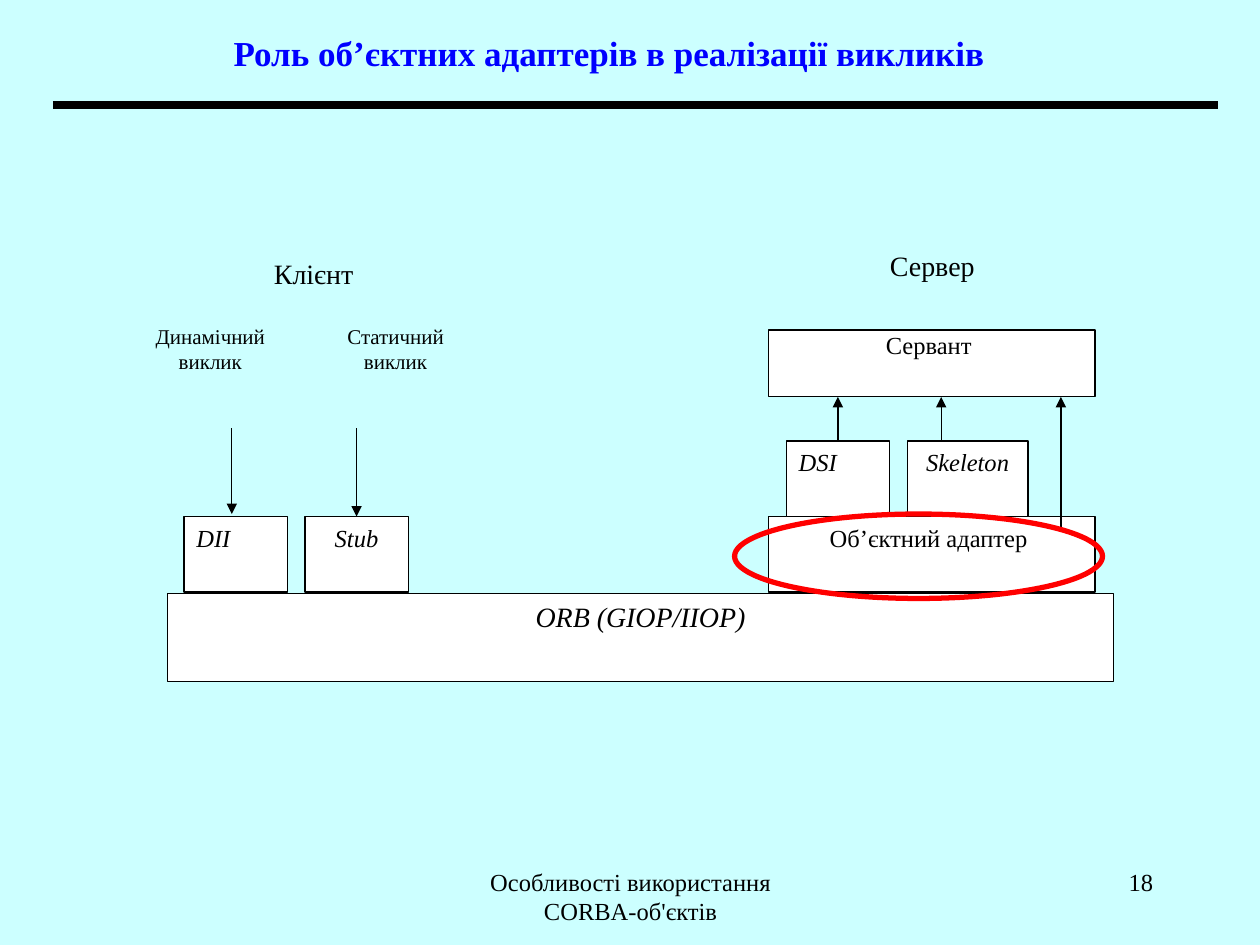
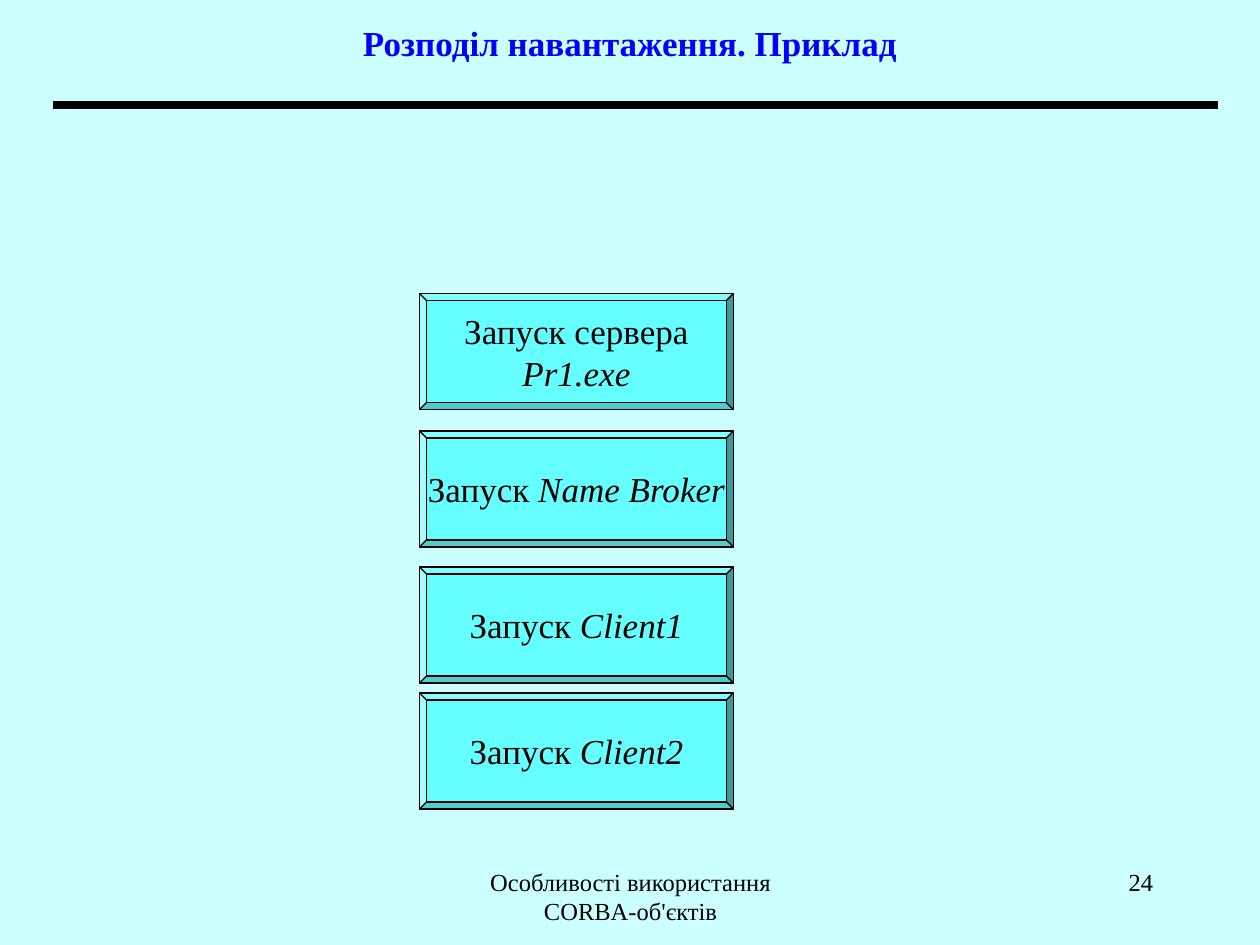
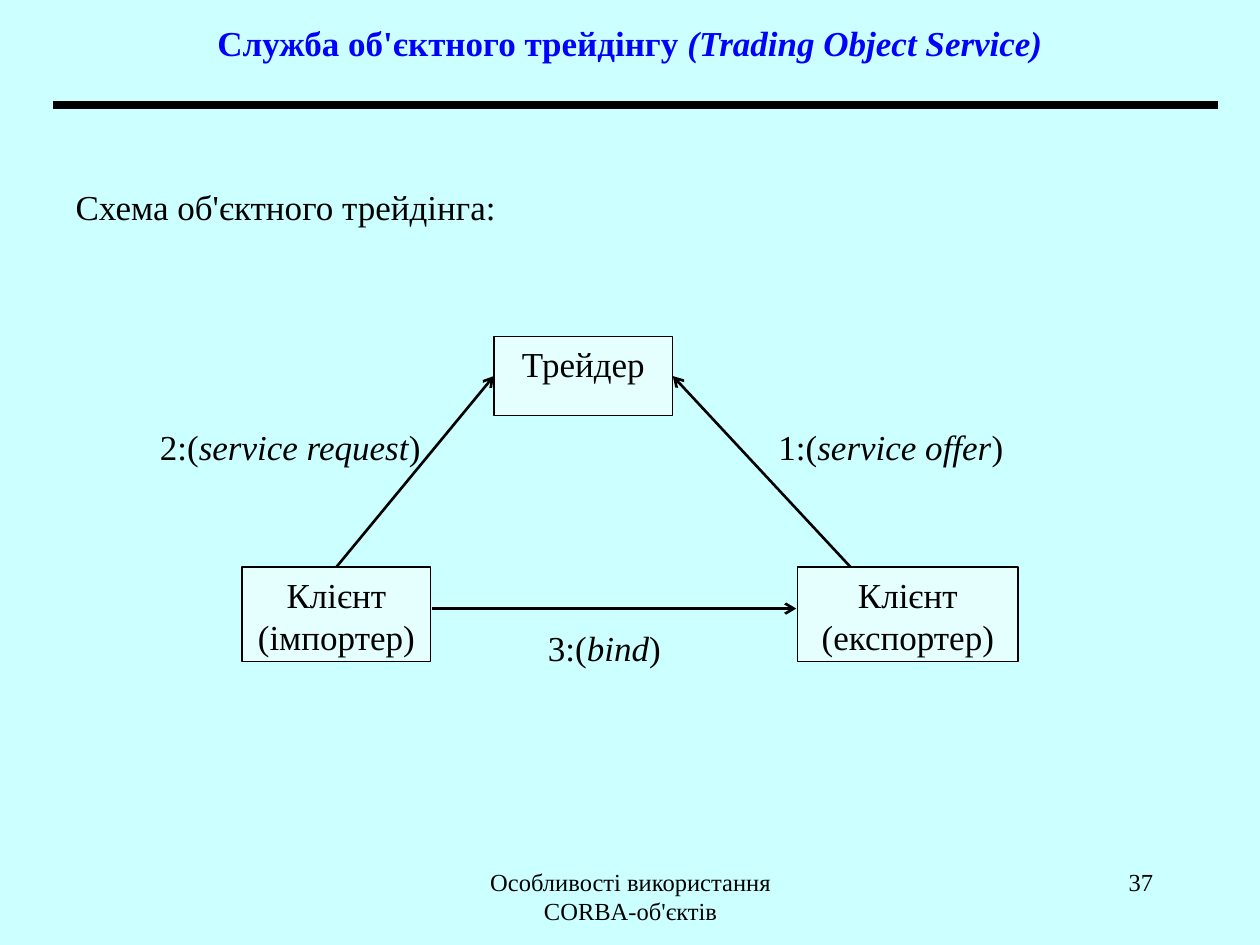
from dataclasses import dataclass
from typing import Optional

from lxml.etree import SubElement
from pptx import Presentation
from pptx.dml.color import RGBColor
from pptx.enum.shapes import MSO_CONNECTOR, MSO_SHAPE
from pptx.enum.text import MSO_ANCHOR as ANCHOR, MSO_AUTO_SIZE as AUTO_SIZE, PP_ALIGN as ALIGN
from pptx.oxml.ns import qn
from pptx.util import Inches, Pt

COLORS = {
    "background": "CCFFFF",
    "title": "0000FF",
    "ink": "000000",
    "box": "FFFFFF",
    "button": "66FFFF",
    "highlight": "FF0000",
}
FONT = "Times New Roman"
FOOTER = "Особливості використання CORBA-об'єктів"
TITLE_AREA = (0.75, 0, 8.5, 0.67)
PADDED = (0.1, 0.05, 0.1, 0.05)
TOP_ONLY = (0, 0.05, 0, 0)
TITLE_ONLY, TITLE_AND_BODY = 5, 1
TOP, LEFT, RIGHT = 0, 1, 3


@dataclass
class Block:
    """Text at (left, top, width, height); *asterisks* mark italics."""
    text: str
    area: tuple
    size: int = 20
    align: ALIGN = ALIGN.CENTER
    insets: tuple = PADDED
    anchor: ANCHOR = ANCHOR.TOP
    wrap: bool = True
    color: str = "ink"
    bold: bool = False
    shape: Optional[MSO_SHAPE] = None
    fill: str = "box"
    opacity: int = 100


@dataclass
class Arrow:
    """Ends are points; a joint is (block text, connection site)."""
    start: tuple
    end: tuple
    begin_joint: Optional[tuple] = None
    end_joint: Optional[tuple] = None


def rgb(name: str) -> RGBColor:
    return RGBColor.from_string(COLORS[name])


def inches(values: tuple) -> list:
    return [Inches(value) for value in values]


def write(frame, block: Block) -> None:
    left, top, right, bottom = inches(block.insets)
    layout = {
        "margin_left": left, "margin_top": top,
        "margin_right": right, "margin_bottom": bottom,
        "vertical_anchor": block.anchor, "word_wrap": block.wrap,
        "auto_size": AUTO_SIZE.NONE,
    }
    for name, value in layout.items():
        setattr(frame, name, value)
    for index, line in enumerate(block.text.split("\n")):
        paragraph = frame.add_paragraph() if index else frame.paragraphs[0]
        paragraph.alignment = block.align
        paragraph.space_before = Pt(0)
        for part, words in enumerate(line.split("*")):
            if not words:
                continue
            run = paragraph.add_run()
            run.text = words
            run.font.color.rgb = rgb(block.color)
            style = {"name": FONT, "size": Pt(block.size),
                     "bold": block.bold, "italic": part % 2 == 1}
            for name, value in style.items():
                setattr(run.font, name, value)


def draw_block(slide, block: Block):
    if block.shape is None:
        drawn = slide.shapes.add_textbox(*inches(block.area))
    else:
        drawn = slide.shapes.add_shape(block.shape, *inches(block.area))
        drawn.shadow.inherit = False
        drawn.fill.solid()
        drawn.fill.fore_color.rgb = rgb(block.fill)
        if block.opacity < 100:
            color = drawn.element.spPr.find(f"{qn('a:solidFill')}/{qn('a:srgbClr')}")
            SubElement(color, qn("a:alpha"), val=str(block.opacity * 1000))
        drawn.line.color.rgb = rgb("ink")
        drawn.line.width = Pt(0.75)
    write(drawn.text_frame, block)
    return drawn


def draw_line(slide, start: tuple, end: tuple, width: float, head: Optional[str] = None):
    line = slide.shapes.add_connector(MSO_CONNECTOR.STRAIGHT, *inches(start + end))
    line.line.color.rgb = rgb("ink")
    line.line.width = Pt(width)
    properties = line.element.spPr
    if head:
        SubElement(properties.find(qn("a:ln")), qn("a:tailEnd"), type=head)
    SubElement(properties, qn("a:effectLst"))
    return line


def draw_diagram(slide, blocks: list, arrows: list, width: float, head: str) -> None:
    drawn = {block.text: draw_block(slide, block) for block in blocks}
    for arrow in arrows:
        line = draw_line(slide, arrow.start, arrow.end, width, head)
        if arrow.begin_joint:
            name, site = arrow.begin_joint
            line.begin_connect(drawn[name], site)
        if arrow.end_joint:
            name, site = arrow.end_joint
            line.end_connect(drawn[name], site)


def fill_placeholder(placeholder, block: Block) -> None:
    places = zip(("left", "top", "width", "height"), inches(block.area))
    for name, value in places:
        setattr(placeholder, name, value)
    write(placeholder.text_frame, block)


def new_slide(prs, title: str, number: int, layout: int = TITLE_ONLY, area: tuple = TITLE_AREA):
    """Add a slide with its title, rule, footer and number."""
    slide = prs.slides.add_slide(prs.slide_layouts[layout])
    fill_placeholder(slide.shapes.title, Block(
        title, area, anchor=ANCHOR.MIDDLE, color="title", bold=True))
    draw_line(slide, (0.42, 0.83), (9.67, 0.83), 4.5)
    draw_block(slide, Block(FOOTER, (3.42, 6.83, 3.17, 0.5), 14))
    draw_block(slide, Block(str(number), (7.17, 6.83, 2.08, 0.5), 14, ALIGN.RIGHT))
    return slide


def add_adapters_slide(prs) -> None:
    slide = new_slide(prs, "Роль об’єктних адаптерів в реалізації викликів", 18,
                      area=(0.42, 0, 8.83, 0.83))
    rect = MSO_SHAPE.RECTANGLE
    blocks = [
        Block("Клієнт", (1.74, 1.99, 1.5, 0.88), 16),
        Block("Сервер", (6.65, 1.92, 1.5, 0.53), 16),
        Block("Динамічний виклик", (0.92, 2.52, 1.5, 0.88), 12),
        Block("Статичний виклик", (2.39, 2.52, 1.5, 0.88), 12),
        Block("*ORB (GIOP/IIOP)*", (1.33, 4.71, 7.51, 0.7), 16, shape=rect),
        Block("*DII*", (1.46, 4.1, 0.82, 0.6), 14, ALIGN.LEFT, shape=rect),
        Block("*Stub*", (2.42, 4.1, 0.82, 0.6), 14, insets=TOP_ONLY, shape=rect),
        Block("Об’єктний адаптер ", (6.1, 4.1, 2.59, 0.6), 14, insets=TOP_ONLY, shape=rect),
        Block("*DSI*", (6.24, 3.5, 0.82, 0.6), 14, ALIGN.LEFT, shape=rect),
        Block("*Skeleton*", (7.2, 3.5, 0.96, 0.6), 14, insets=TOP_ONLY, shape=rect),
        Block("Сервант ", (6.1, 2.62, 2.59, 0.53), 14, insets=(0, 0, 0, 0), shape=rect),
    ]
    arrows = [
        Arrow((1.84, 3.4), (1.84, 4.08)),
        Arrow((2.83, 3.4), (2.83, 4.1), end_joint=("*Stub*", TOP)),
        Arrow((6.65, 3.5), (6.65, 3.15), begin_joint=("*DSI*", TOP)),
        Arrow((7.47, 3.5), (7.47, 3.15)),
        Arrow((8.42, 4.18), (8.42, 3.15)),
    ]
    draw_diagram(slide, blocks, arrows, 0.75, "triangle")
    highlight = slide.shapes.add_shape(MSO_SHAPE.OVAL, *inches((5.83, 4.08, 2.92, 0.67)))
    highlight.shadow.inherit = False
    highlight.fill.background()
    highlight.line.color.rgb = rgb("highlight")
    highlight.line.width = Pt(3)


def add_load_slide(prs) -> None:
    slide = new_slide(prs, "Розподіл навантаження. Приклад", 24)
    launches = [
        ("Запуск сервера\n*Pr1.exe*", 2.33),
        ("Запуск *Name Broker*", 3.42),
        ("Запуск *Client1*", 4.5),
        ("Запуск *Client2*", 5.5),
    ]
    for text, top in launches:
        button = draw_block(slide, Block(
            text, (3.33, top, 2.49, 0.92), anchor=ANCHOR.MIDDLE, wrap=False,
            shape=MSO_SHAPE.BEVEL, fill="button"))
        button.adjustments[0] = 0.06


def add_trading_slide(prs) -> None:
    slide = new_slide(prs, "Служба об'єктного трейдінгу* (Trading Object Service)*", 37,
                      TITLE_AND_BODY)
    body = slide.placeholders[1]
    properties = body.text_frame.paragraphs[0]._p.get_or_add_pPr()
    for name in ("marL", "indent"):
        properties.set(name, "0")
    SubElement(properties, qn("a:buNone"))
    fill_placeholder(body, Block(
        "Схема об'єктного трейдінга:", (0.5, 1.42, 9.25, 1), align=ALIGN.JUSTIFY))

    trader, importer, exporter = "Трейдер", "Клієнт (імпортер)", "Клієнт (експортер)"
    parties = [
        (trader, (3.92, 2.67, 1.42, 0.63)),
        (importer, (1.92, 4.5, 1.5, 0.75)),
        (exporter, (6.33, 4.5, 1.75, 0.75)),
    ]
    steps = [
        ("1:(*service offer*)", (6.08, 3.33, 2, 0.44)),
        ("2:(*service request*)", (1.17, 3.33, 2.42, 0.44)),
        ("3:(*bind*)", (4.25, 4.92, 1.25, 0.44)),
    ]
    blocks = [Block(text, area, shape=MSO_SHAPE.RECTANGLE, opacity=50) for text, area in parties]
    blocks += [Block(text, area, align=ALIGN.LEFT) for text, area in steps]
    arrows = [
        Arrow((2.67, 4.5), (3.92, 3), (importer, TOP), (trader, LEFT)),
        Arrow((6.75, 4.5), (5.34, 3), end_joint=(trader, RIGHT)),
        Arrow((3.43, 4.83), (6.32, 4.83)),
    ]
    draw_diagram(slide, blocks, arrows, 1.5, "arrow")


def main() -> None:
    prs = Presentation()
    prs.slide_width, prs.slide_height = Inches(10), Inches(7.5)
    background = prs.slide_master.background.fill
    background.solid()
    background.fore_color.rgb = rgb("background")
    add_adapters_slide(prs)
    add_load_slide(prs)
    add_trading_slide(prs)
    prs.save("out.pptx")


if __name__ == "__main__":
    main()
